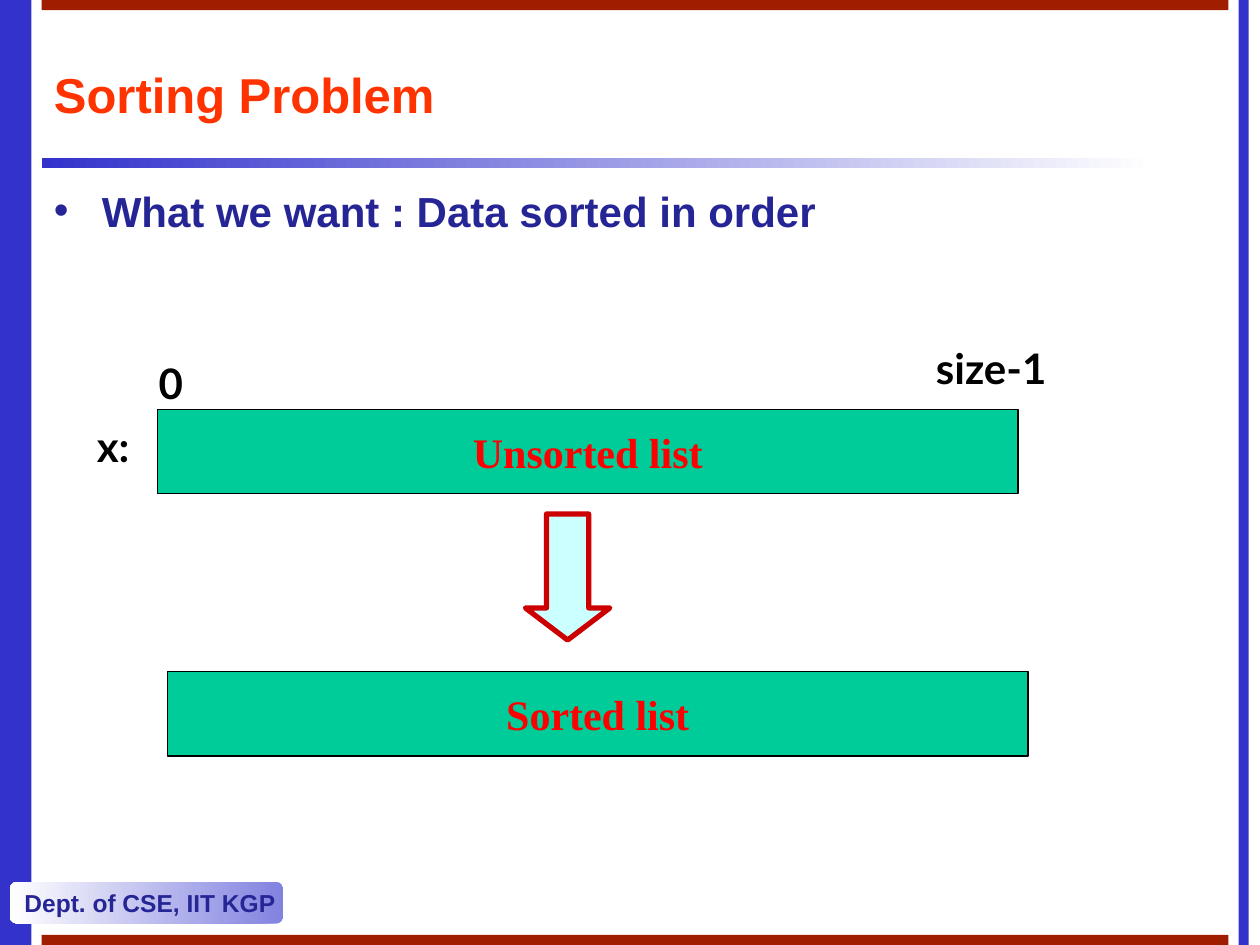
from dataclasses import dataclass
from typing import Optional

import pptx
import pptx.dml.color
import pptx.enum.shapes
import pptx.enum.text
import pptx.oxml
import pptx.oxml.ns
import pptx.util
from pptx.util import Inches

SHAPE = pptx.enum.shapes.MSO_SHAPE
ALIGN = pptx.enum.text.PP_ALIGN
ANCHOR = pptx.enum.text.MSO_ANCHOR

COLORS = {
    "frame": "3333CC",
    "band": "A01E00",
    "white": "FFFFFF",
    "lavender": "8282E0",
    "navy": "252595",
    "title": "FF3300",
    "list": "00CC99",
    "list_text": "FF0000",
    "black": "000000",
    "arrow": "CCFFFF",
    "arrow_edge": "CC0000",
}


@dataclass
class Box:
    left: float
    top: float
    width: float
    height: float


@dataclass
class Style:
    font: str
    size: float
    color: str
    align: pptx.enum.text.PP_ALIGN = ALIGN.LEFT
    anchor: pptx.enum.text.MSO_ANCHOR = ANCHOR.TOP
    wrap: bool = False


@dataclass
class Block:
    box: Box
    fill: tuple[str, ...]
    kind: pptx.enum.shapes.MSO_SHAPE = SHAPE.RECTANGLE
    edge: Optional[str] = None
    edge_width: float = 0.75
    adjustments: tuple[float, ...] = ()


@dataclass
class Label:
    text: str
    box: Box
    style: Style


def rgb(name: str) -> pptx.dml.color.RGBColor:
    return pptx.dml.color.RGBColor.from_string(COLORS[name])


def lengths(box: Box) -> list[int]:
    return [Inches(v) for v in (box.left, box.top, box.width, box.height)]


def write(shape, text: str, style: Style, bullet: Optional[str] = None) -> None:
    frame = shape.text_frame
    frame.text = text
    frame.word_wrap = style.wrap
    frame.vertical_anchor = style.anchor
    paragraph = frame.paragraphs[0]
    paragraph.alignment = style.align
    if bullet:
        add_bullet(paragraph, bullet, style.color)
    font = paragraph.runs[0].font
    font.name = style.font
    font.size = pptx.util.Pt(style.size)
    font.bold = True
    font.color.rgb = rgb(style.color)


def add_bullet(paragraph, character: str, color: str) -> None:
    properties = paragraph._p.get_or_add_pPr()
    properties.set("marL", str(Inches(0.38)))
    properties.set("indent", str(Inches(-0.38)))
    namespace = pptx.oxml.ns.nsdecls("a")
    for xml in (
        f'<a:buClr {namespace}><a:srgbClr val="{COLORS[color]}"/></a:buClr>',
        f'<a:buFont {namespace} typeface="Arial"/>',
        f'<a:buChar {namespace} char="{character}"/>',
    ):
        properties.append(pptx.oxml.parse_xml(xml))


def draw_block(slide, block: Block):
    shape = slide.shapes.add_shape(block.kind, *lengths(block.box))
    shape.shadow.inherit = False
    for index, value in enumerate(block.adjustments):
        shape.adjustments[index] = value
    if len(block.fill) == 1:
        shape.fill.solid()
        shape.fill.fore_color.rgb = rgb(block.fill[0])
    else:
        shape.fill.gradient()
        shape.fill.gradient_angle = 180
        for stop, color in zip(shape.fill.gradient_stops, block.fill):
            stop.color.rgb = rgb(color)
    if block.edge:
        shape.line.color.rgb = rgb(block.edge)
        shape.line.width = pptx.util.Pt(block.edge_width)
    else:
        shape.line.fill.background()
    return shape


def draw_label(slide, label: Label, bullet: Optional[str] = None) -> None:
    textbox = slide.shapes.add_textbox(*lengths(label.box))
    write(textbox, label.text, label.style, bullet)


FRAME = [
    Block(Box(0, 0, 0.25, 7.5), ("frame",)),
    Block(Box(0.33, 1.25, 8.83, 0.08), ("white", "frame")),
    Block(Box(9.83, 0, 0.08, 7.5), ("frame",)),
    Block(Box(0.33, 0, 9.42, 0.08), ("band",)),
    Block(Box(0.33, 7.42, 9.42, 0.08), ("band",)),
]
DEPARTMENT = Block(Box(0.08, 7, 2.17, 0.33), ("lavender", "white"),
                   SHAPE.ROUNDED_RECTANGLE, adjustments=(0.17,))
ARROW = Block(Box(4.17, 4.08, 0.67, 1), ("arrow",), SHAPE.DOWN_ARROW,
              "arrow_edge", 3, (0.5, 0.38))
LISTS = {
    "Unsorted list": Box(1.25, 3.25, 6.83, 0.67),
    "Sorted list": Box(1.33, 5.33, 6.83, 0.67),
}

DEPARTMENT_STYLE = Style("Arial", 14, "navy", anchor=ANCHOR.MIDDLE)
TITLE_STYLE = Style("Arial", 28, "title", anchor=ANCHOR.MIDDLE, wrap=True)
BODY_STYLE = Style("Arial", 24, "navy", wrap=True)
LIST_STYLE = Style("Times New Roman", 24, "list_text", ALIGN.CENTER, ANCHOR.MIDDLE)
INDEX_STYLE = Style("Lato", 24, "black")

TITLE = Label("Sorting Problem", Box(0.33, 0.33, 9.42, 0.83), TITLE_STYLE)
GOAL = Label("What we want : Data sorted in order", Box(0.33, 1.42, 9.42, 1.17), BODY_STYLE)
INDEX_LABELS = [
    Label("x:", Box(0.67, 3.29, 0.49, 0.5), INDEX_STYLE),
    Label("0", Box(1.16, 2.79, 0.39, 0.5), INDEX_STYLE),
    Label("size-1", Box(7.33, 2.67, 1.42, 0.5), INDEX_STYLE),
]


def main() -> None:
    presentation = pptx.Presentation()
    presentation.slide_width = Inches(10)
    presentation.slide_height = Inches(7.5)
    slide = presentation.slides.add_slide(presentation.slide_layouts[6])

    for block in FRAME:
        draw_block(slide, block)
    write(draw_block(slide, DEPARTMENT), "Dept. of CSE, IIT KGP", DEPARTMENT_STYLE)
    draw_label(slide, TITLE)
    draw_label(slide, GOAL, "•")
    for text, box in LISTS.items():
        write(draw_block(slide, Block(box, ("list",), edge="black")), text, LIST_STYLE)
    for label in INDEX_LABELS:
        draw_label(slide, label)
    draw_block(slide, ARROW)

    presentation.save("out.pptx")


if __name__ == "__main__":
    main()
